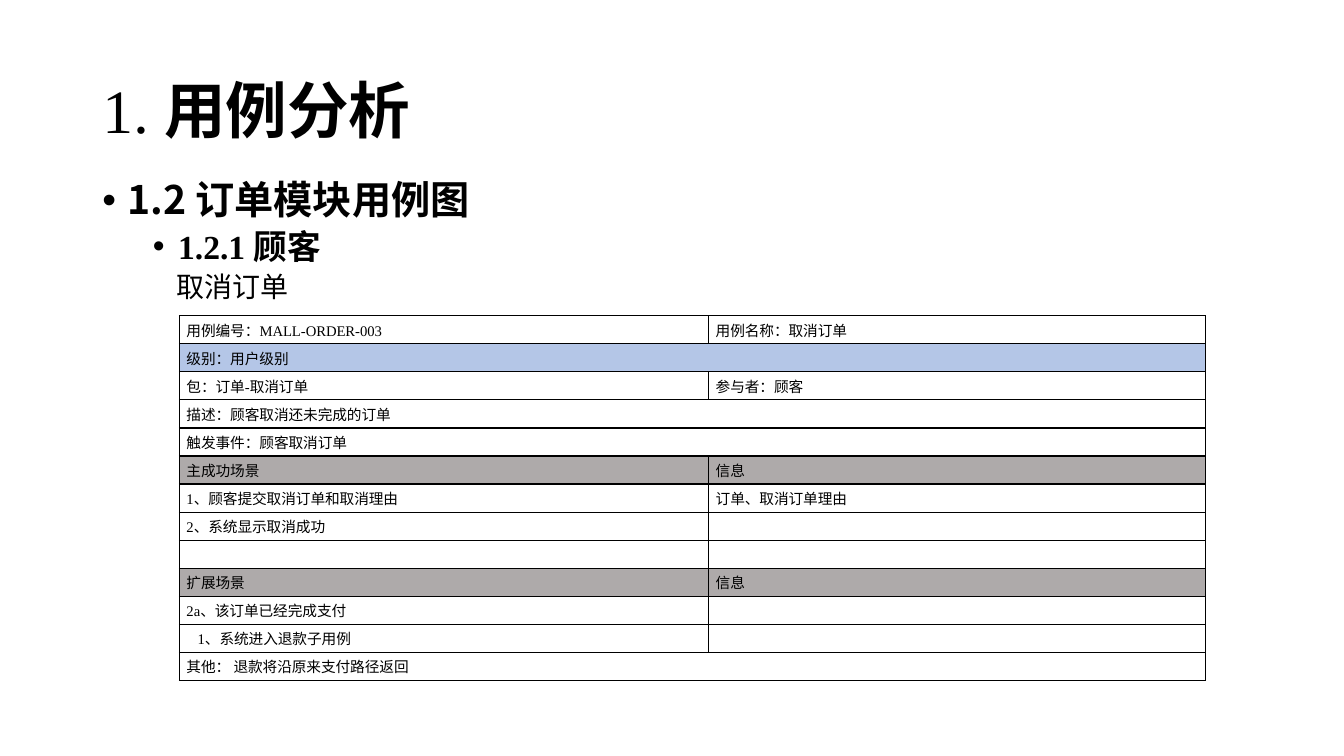
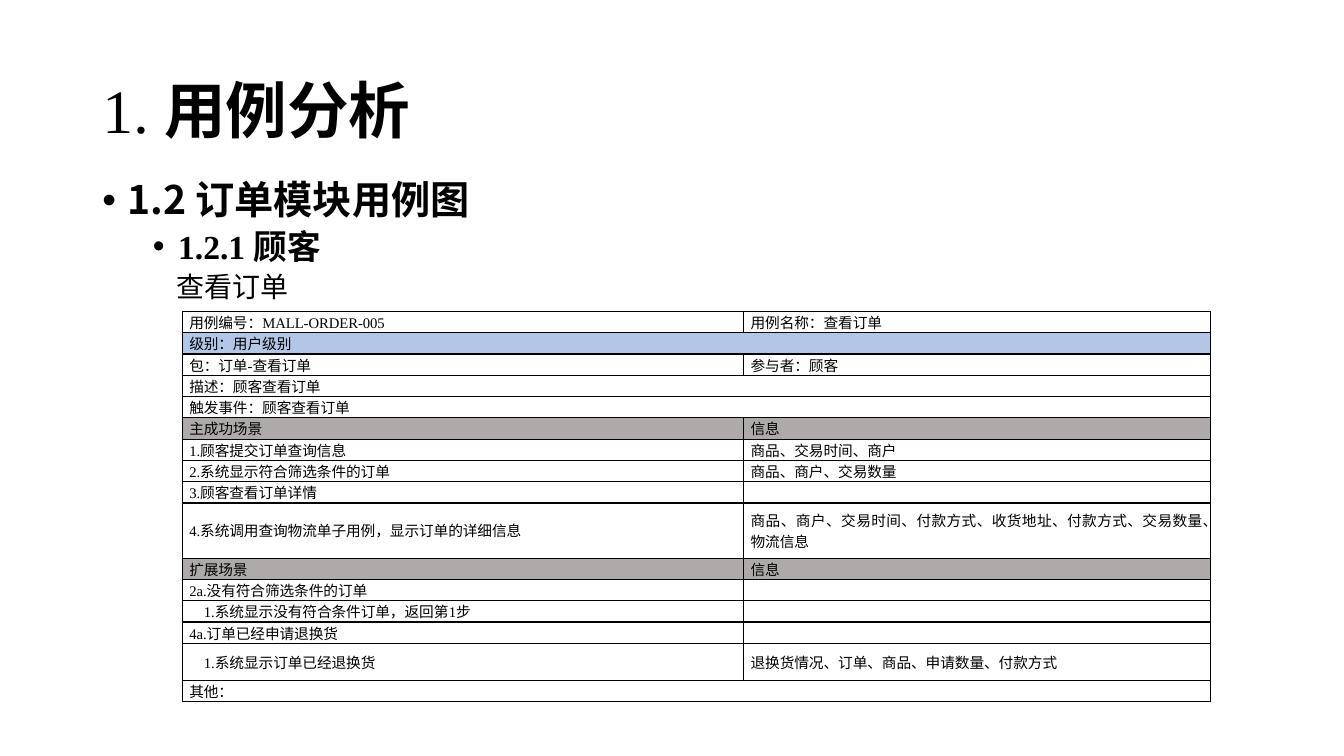
from lxml.etree import SubElement
from pptx import Presentation
from pptx.dml.color import RGBColor
from pptx.enum.text import MSO_ANCHOR, MSO_AUTO_SIZE, PP_ALIGN
from pptx.oxml.ns import qn
from pptx.util import Pt

BLACK = RGBColor(0x00, 0x00, 0x00)
LEVEL_BLUE = RGBColor(0xB4, 0xC6, 0xE7)
HEADING_GRAY = RGBColor(0xAE, 0xAA, 0xAA)
SERIF = "Times New Roman"
SANS = "Noto Sans CJK SC"
SCENE_INFO = "信息"


class UseCaseDeck:
    """Holds the shared style and the current slide."""

    def __init__(self):
        self.deck = Presentation()
        self.deck.slide_width, self.deck.slide_height = Pt(960), Pt(540)
        self.slide = None

    def new_slide(self):
        self.slide = self.deck.slides.add_slide(self.deck.slide_layouts[1])

    def style(self, paragraph, size, latin=SERIF, bold=None):
        font = paragraph.font
        font.size, font.name, font.bold = Pt(size), latin, bold
        font.color.rgb = BLACK
        properties = paragraph._p.get_or_add_pPr().find(qn("a:defRPr"))
        SubElement(properties, qn("a:ea")).set("typeface", SANS)

    def indent(self, paragraph, left, first=0):
        properties = paragraph._p.get_or_add_pPr()
        properties.set("marL", str(Pt(left)))
        properties.set("indent", str(Pt(first)))
        return properties

    def place(self, holder, top, height, anchor):
        holder.left, holder.top = Pt(66), Pt(top)
        holder.width, holder.height = Pt(828), Pt(height)
        frame = holder.text_frame
        frame.word_wrap = True
        frame.auto_size = MSO_AUTO_SIZE.NONE
        frame.vertical_anchor = anchor
        return frame

    def title(self, number, topic):
        frame = self.place(self.slide.shapes.title, 29, 104, MSO_ANCHOR.MIDDLE)
        heading = frame.paragraphs[0]
        heading.alignment = PP_ALIGN.LEFT
        heading.line_spacing = 0.9
        self.style(heading, 44)
        heading.add_run().text = number
        topic_run = heading.add_run()
        topic_run.text = topic
        topic_run.font.bold = True

    def outline(self, items):
        """Each item: text, level, left indent, bulleted, size, font, bold."""
        frame = self.place(self.slide.placeholders[1], 125.5, 343, MSO_ANCHOR.TOP)
        for index, (text, level, left, bulleted, size, latin, bold) in enumerate(items):
            item = frame.add_paragraph() if index else frame.paragraphs[0]
            item.text, item.level = text, level
            item.line_spacing = 0.9
            item.space_before = Pt(5 if index else 0)
            properties = self.indent(item, left, -18 if bulleted else 0)
            if bulleted:
                SubElement(properties, qn("a:buFont")).set("typeface", "Arial")
                SubElement(properties, qn("a:buChar")).set("char", "•")
            else:
                SubElement(properties, qn("a:buNone"))
            self.style(item, size, latin, bold)

    def border(self, cell):
        properties = cell._tc.get_or_add_tcPr()
        for side in ("lnL", "lnR", "lnT", "lnB"):
            line = SubElement(properties, qn(f"a:{side}"), w=str(Pt(1)))
            fill = SubElement(line, qn("a:solidFill"))
            SubElement(fill, qn("a:srgbClr")).set("val", str(BLACK))

    def cell(self, cell, text, shade, step_indent):
        cell.margin_left = cell.margin_right = Pt(5)
        cell.margin_top = cell.margin_bottom = 0
        cell.vertical_anchor = MSO_ANCHOR.MIDDLE
        self.border(cell)
        if shade is None:
            cell.fill.background()
        else:
            cell.fill.solid()
            cell.fill.fore_color.rgb = shade
        entry = cell.text_frame.paragraphs[0]
        entry.alignment = PP_ALIGN.JUSTIFY
        if step_indent:
            self.indent(entry, step_indent)
        self.style(entry, 10.5)
        if text:
            entry.text = text
        else:
            # An empty cell keeps the row low only with a small end mark
            SubElement(entry._p, qn("a:endParaRPr")).set("sz", "1050")

    def use_case_table(self, left, top, widths, row_height, rows,
                       tall_rows, substeps, step_indent):
        """A row with a single text spans both columns."""
        table = self.slide.shapes.add_table(
            len(rows), 2, Pt(left), Pt(top), Pt(sum(widths)),
            Pt(row_height * len(rows))).table
        table.first_row = table.horz_banding = False
        for column, width in zip(table.columns, widths):
            column.width = Pt(width)
        for index, texts in enumerate(rows):
            table.rows[index].height = Pt(tall_rows.get(index, row_height))
            shade = None
            if index == 1:
                shade = LEVEL_BLUE
            elif texts[-1] == SCENE_INFO:
                shade = HEADING_GRAY
            for column in range(2):
                text = texts[column] if column < len(texts) else ""
                inset = step_indent if column == 0 and index in substeps else 0
                self.cell(table.cell(index, column), text, shade, inset)
            if len(texts) == 1:
                table.cell(index, 0).merge(table.cell(index, 1))


CANCEL_ORDER = dict(
    left=128.2, top=225.5, widths=(378, 355), row_height=20.05,
    tall_rows={}, substeps={11}, step_indent=8,
    rows=[
        ("用例编号：MALL-ORDER-003", "用例名称：取消订单"),
        ("级别：用户级别",),
        ("包：订单-取消订单", "参与者：顾客"),
        ("描述：顾客取消还未完成的订单",),
        ("触发事件：顾客取消订单",),
        ("主成功场景", SCENE_INFO),
        ("1、顾客提交取消订单和取消理由", "订单、取消订单理由"),
        ("2、系统显示取消成功", ""),
        ("", ""),
        ("扩展场景", SCENE_INFO),
        ("2a、该订单已经完成支付", ""),
        ("1、系统进入退款子用例", ""),
        ("其他： 退款将沿原来支付路径返回",),
    ])

VIEW_ORDER = dict(
    left=130.2, top=222.5, widths=(401, 333.5), row_height=15.2,
    tall_rows={9: 39.5, 14: 26.5}, substeps={12, 14}, step_indent=10.5,
    rows=[
        ("用例编号：MALL-ORDER-005", "用例名称：查看订单"),
        ("级别：用户级别",),
        ("包：订单-查看订单", "参与者：顾客"),
        ("描述：顾客查看订单",),
        ("触发事件：顾客查看订单",),
        ("主成功场景", SCENE_INFO),
        ("1.顾客提交订单查询信息", "商品、交易时间、商户"),
        ("2.系统显示符合筛选条件的订单", "商品、商户、交易数量"),
        ("3.顾客查看订单详情", ""),
        ("4.系统调用查询物流单子用例，显示订单的详细信息",
         "商品、商户、交易时间、付款方式、收货地址、付款方式、交易数量、物流信息"),
        ("扩展场景", SCENE_INFO),
        ("2a.没有符合筛选条件的订单", ""),
        ("1.系统显示没有符合条件订单，返回第1步", ""),
        ("4a.订单已经申请退换货", ""),
        ("1.系统显示订单已经退换货", "退换货情况、订单、商品、申请数量、付款方式"),
        ("其他：",),
    ])


def main():
    pages = UseCaseDeck()
    for use_case, details in (("取消订单", CANCEL_ORDER), ("查看订单", VIEW_ORDER)):
        pages.new_slide()
        pages.title("1. ", "用例分析")
        pages.outline([
            ("1.2 订单模块用例图", 0, 18, True, 28, SANS, True),
            ("1.2.1 顾客", 1, 54, True, 24, SERIF, True),
            (use_case, 1, 53, False, 20, SERIF, False),
        ])
        pages.use_case_table(**details)
    pages.deck.save("out.pptx")


if __name__ == "__main__":
    main()
